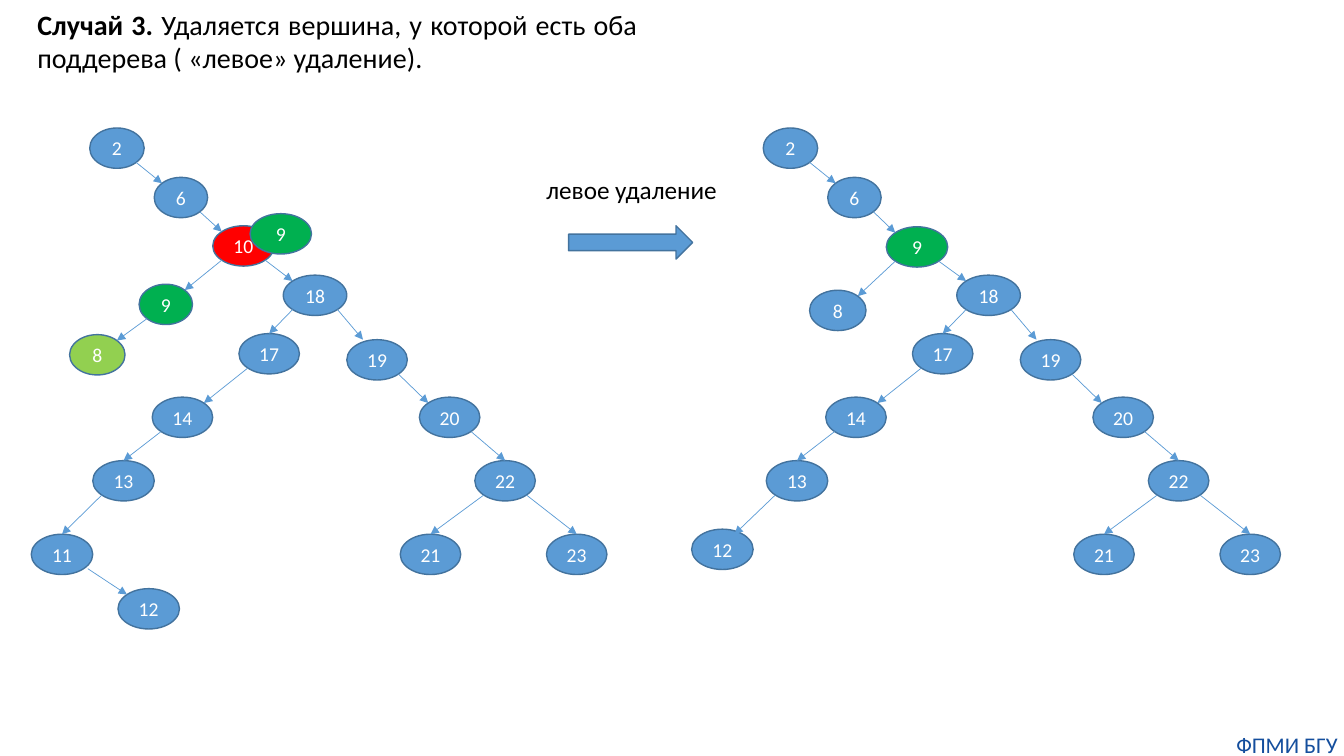
"""Builds a slide on deleting a tree vertex that has both subtrees."""
from dataclasses import dataclass
from math import sqrt

from lxml import etree
from pptx import Presentation
from pptx.dml.color import RGBColor
from pptx.enum.shapes import MSO_CONNECTOR, MSO_SHAPE
from pptx.enum.text import MSO_ANCHOR, MSO_AUTO_SIZE, PP_ALIGN
from pptx.oxml.ns import qn
from pptx.util import Emu, Pt

ELLIPSE, RIGHT_ARROW = MSO_SHAPE.OVAL, MSO_SHAPE.RIGHT_ARROW
STRAIGHT = MSO_CONNECTOR.STRAIGHT
TOP, MIDDLE = MSO_ANCHOR.TOP, MSO_ANCHOR.MIDDLE
LEFT, CENTER, JUSTIFY = PP_ALIGN.LEFT, PP_ALIGN.CENTER, PP_ALIGN.JUSTIFY
GROW = MSO_AUTO_SIZE.SHAPE_TO_FIT_TEXT

EMU_PER_PX = 9144
SLIDE_SIZE = (1333, 750)
VERTEX_HEIGHT = 40
AFTER_SHIFT = 668


@dataclass(frozen=True)
class Theme:
    """Colours and type sizes of the slide."""
    font: str = "Calibri"
    blue: str = "5B9BD5"
    outline: str = "43739E"
    red: str = "FF0000"
    green: str = "00B050"
    lime: str = "92D050"
    white: str = "FFFFFF"
    black: str = "000000"
    footer: str = "144E9D"
    vertex_size: int = 14
    footer_size: int = 16
    label_size: int = 18
    title_size: int = 20
    outline_width: float = 1
    edge_width: float = 0.5


THEME = Theme()

COMMON_VERTICES = {
    "2": (89, 127, 54), "6": (153, 176, 53), "18": (281, 273, 63),
    "17": (237, 331, 60), "19": (344, 337, 60), "14": (151, 394, 60),
    "20": (416, 394, 60), "13": (92, 457, 61), "22": (471, 457, 60),
    "21": (397, 530, 60), "23": (542, 530, 60),
}
BEFORE_VERTICES = COMMON_VERTICES | {
    "10": (211, 224, 61), "9": (138, 282, 53), "8": (69, 332, 55),
    "11": (31, 530, 61), "12": (117, 584, 61),
}
AFTER_VERTICES = COMMON_VERTICES | {
    "9": (211, 225, 61), "8": (135, 288, 56), "12": (18, 525, 61),
}
BEFORE_FILLS = {"10": THEME.red, "9": THEME.green, "8": THEME.lime}
AFTER_FILLS = {"9": THEME.green}

COMMON_EDGES = [
    ("2", "6", "corner"), ("18", "17", "top"), ("18", "19", (-14, -20)),
    ("17", "14", "corner"), ("14", "13", "top"), ("19", "20", "corner"),
    ("20", "22", "top"), ("22", "21", "top"), ("22", "23", "top"),
]
BEFORE_EDGES = COMMON_EDGES + [
    ("6", "10", "corner"), ("10", "9", "corner"), ("10", "18", "corner"),
    ("9", "8", "corner"), ("13", "11", "top"), ("11", "12", "corner", 4),
]
AFTER_EDGES = COMMON_EDGES + [
    ("6", "9", "corner"), ("9", "8", "corner"), ("9", "18", "corner"),
    ("13", "12", (12, -15)),
]


def px(length):
    """Turn a length in px into EMU."""
    return Emu(round(length * EMU_PER_PX))


def style_runs(paragraph, size, color, align):
    """Align a paragraph and format all of its runs."""
    paragraph.alignment = align
    for run in paragraph.runs:
        run.font.name = THEME.font
        run.font.size = Pt(size)
        run.font.color.rgb = RGBColor.from_string(color)


def add_figure(slide, preset, box, fill):
    """Add a filled and outlined preset shape."""
    figure = slide.shapes.add_shape(preset, *map(px, box))
    figure.shadow.inherit = False
    figure.fill.solid()
    figure.fill.fore_color.rgb = RGBColor.from_string(fill)
    figure.line.color.rgb = RGBColor.from_string(THEME.outline)
    figure.line.width = Pt(THEME.outline_width)
    return figure


def add_vertex(slide, key, place, fill):
    """Add one numbered tree vertex."""
    vertex = add_figure(slide, ELLIPSE, (*place, VERTEX_HEIGHT), fill)
    vertex.text_frame.text = key
    vertex.text_frame.vertical_anchor = MIDDLE
    style_runs(vertex.text_frame.paragraphs[0], THEME.vertex_size, THEME.white, CENTER)


def add_edge(slide, start, end):
    """Add a thin arrow between two points."""
    edge = slide.shapes.add_connector(STRAIGHT, *map(px, (*start, *end)))
    edge.line.color.rgb = RGBColor.from_string(THEME.blue)
    edge.line.width = Pt(THEME.edge_width)
    etree.SubElement(edge.line._get_or_add_ln(), qn("a:tailEnd"), type="triangle")
    etree.SubElement(edge._element.spPr, qn("a:effectLst"))


def rim_point(place, side, level):
    """Return the diagonal point on a vertex rim."""
    x, y, width = place
    reach = sqrt(2) / 4
    return (x + width / 2 + side * reach * width,
            y + VERTEX_HEIGHT / 2 + level * reach * VERTEX_HEIGHT)


def edge_ends(parent, child, tip, gap=0):
    """Return where an edge leaves its parent and meets its child."""
    side = 1 if child[0] > parent[0] else -1
    start_x, start_y = rim_point(parent, side, 1)
    if tip == "corner":
        end = rim_point(child, -side, -1)
    else:
        dx, dy = (0, -VERTEX_HEIGHT / 2) if tip == "top" else tip
        end = (child[0] + child[2] / 2 + dx, child[1] + VERTEX_HEIGHT / 2 + dy)
    return (start_x + gap, start_y), end


def add_tree(slide, vertices, fills, edges, shift=0):
    """Add a whole tree moved right by the shift."""
    places = {key: (x + shift, y, width) for key, (x, y, width) in vertices.items()}
    for key, place in places.items():
        add_vertex(slide, key, place, fills.get(key, THEME.blue))
    for parent, child, *contact in edges:
        add_edge(slide, *edge_ends(places[parent], places[child], *contact))


def add_label(slide, text, box, size, color, align, wrap, inset=None):
    """Add a one-line text box."""
    frame = slide.shapes.add_textbox(*map(px, box)).text_frame
    frame.word_wrap = wrap
    frame.auto_size = GROW
    if inset is not None:
        frame.margin_left = frame.margin_right = px(inset)
        frame.margin_top = frame.margin_bottom = px(inset)
    frame.text = text
    style_runs(frame.paragraphs[0], size, color, align)


def set_title(slide, lead, statement, box):
    """Place the title with a bold lead before its statement."""
    title = slide.shapes.title
    title.left, title.top, title.width, title.height = map(px, box)
    frame = title.text_frame
    frame.word_wrap = True
    frame.auto_size = GROW
    frame.vertical_anchor = TOP
    heading = frame.paragraphs[0]
    for text, bold in ((lead, True), (statement, False)):
        run = heading.add_run()
        run.text = text
        run.font.bold = bold
    style_runs(heading, THEME.title_size, THEME.black, JUSTIFY)


def main():
    """Build the slide and save it."""
    deck = Presentation()
    deck.slide_width, deck.slide_height = map(px, SLIDE_SIZE)
    slide = deck.slides.add_slide(deck.slide_layouts.get_by_name("Title Only"))
    set_title(slide, "Случай 3.",
              " Удаляется вершина, у которой есть оба поддерева ( «левое» удаление).",
              (27, 2, 615, 77))
    add_tree(slide, BEFORE_VERTICES, BEFORE_FILLS, BEFORE_EDGES)
    add_vertex(slide, "9", (248, 212, 61), THEME.green)
    add_label(slide, "левое удаление", (532, 168, 191, 40),
              THEME.label_size, THEME.black, LEFT, wrap=False)
    add_figure(slide, RIGHT_ARROW, (564, 224, 123, 33), THEME.blue)
    add_tree(slide, AFTER_VERTICES, AFTER_FILLS, AFTER_EDGES, AFTER_SHIFT)
    add_label(slide, "ФПМИ БГУ", (1220, 725, 113, 27),
              THEME.footer_size, THEME.footer, CENTER, wrap=True, inset=0)
    deck.save("out.pptx")


if __name__ == "__main__":
    main()
